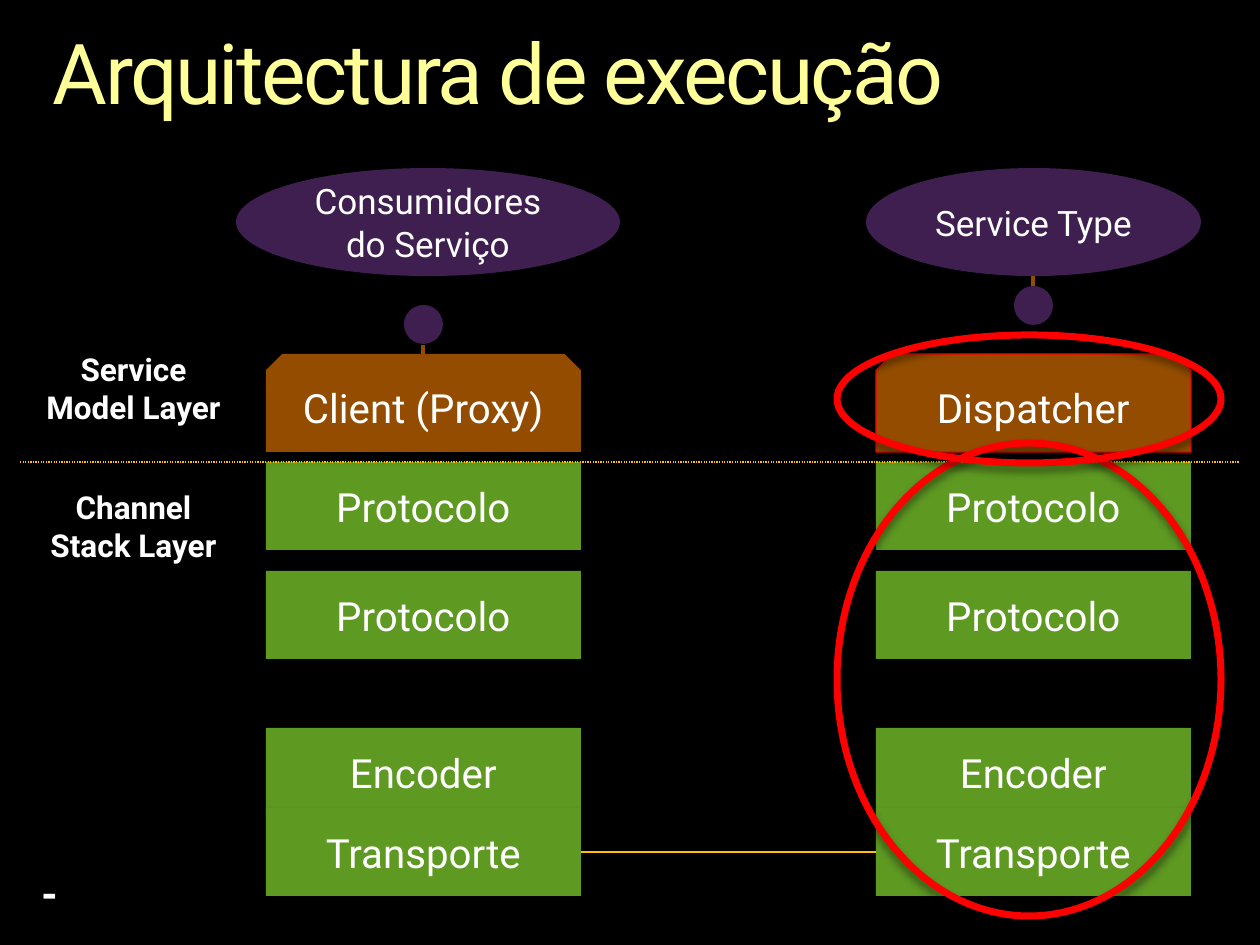
import pptx
import pptx.util
import pptx.dml.color
import pptx.enum.dml
import pptx.enum.shapes
import pptx.enum.text
import pptx.oxml
import pptx.oxml.ns

PX = 914400 / 126
FONT = "Roboto"
COLORS = {
    "background": "000000", "title": "FFFF99", "text": "FFFFFF",
    "channel": "5E9922", "service": "944D00", "endpoint": "3F1F50",
    "highlight": "FF0000", "link": "FFC000",
}
SHAPES = pptx.enum.shapes.MSO_SHAPE
ALIGN = pptx.enum.text.PP_ALIGN
ANCHOR = pptx.enum.text.MSO_ANCHOR

# Content
TITLE = "Arquitectura de execução"
STACKS = [(266, "Client (Proxy)"), (876, "Dispatcher")]
STACK_W = 315
SERVICE_Y, SERVICE_H = 354, 98
CHANNEL_H = 88
CHANNELS = [("Protocolo", 462), ("Protocolo", 571), ("Encoder", 728), ("Transporte", 808)]
ENDPOINTS = [("Consumidores do Serviço", (236, 168, 384, 108)),
             ("Service Type", (866, 168, 335, 108))]
KNOBS = [(404, 305), (1014, 286)]
KNOB_SIZE = 39
LAYERS = [("Service Model Layer", 344), ("Channel Stack Layer", 482)]
LINES = [  # start, end, colour, width in points, dotted
    ((423, 345), (423, 354), "service", 2, False),
    ((1033, 286), (1033, 276), "service", 2, False),
    ((20, 462), (1240, 462), "link", 0.75, True),
    ((581, 852), (876, 852), "link", 0.75, False),
]
HIGHLIGHTS = [(837, 443, 384, 473), (837, 335, 384, 128)]


def px(*values):
    return [pptx.util.Emu(round(v * PX)) for v in values]


def rgb(name):
    return pptx.dml.color.RGBColor.from_string(COLORS[name])


def write(sp, text, size, color="text", bold=False, align=ALIGN.CENTER,
          anchor=ANCHOR.MIDDLE, wrap=True, margin=None, line_spacing=None, spacing=None):
    tf = sp.text_frame
    tf.word_wrap = wrap
    tf.vertical_anchor = anchor
    if margin is not None:
        tf.margin_left = tf.margin_right = tf.margin_top = tf.margin_bottom = margin
    p = tf.paragraphs[0]
    p.alignment = align
    if line_spacing:
        p.line_spacing = line_spacing
    r = p.add_run()
    r.text = text
    r.font.name, r.font.size, r.font.bold = FONT, pptx.util.Pt(size), bold
    r.font.color.rgb = rgb(color)
    if spacing is not None:
        r._r.get_or_add_rPr().set("spc", str(round(spacing * 100)))


def add_effects(sp, effects=""):
    sp._element.spPr.append(pptx.oxml.parse_xml(
        f'<a:effectLst {pptx.oxml.ns.nsdecls("a")}>{effects}</a:effectLst>'))


def add_shadow(sp):
    """Give a soft shadow that falls straight down."""
    add_effects(sp, '<a:outerShdw blurRad="63500" dist="38100" dir="5400000" rotWithShape="0">'
                    '<a:srgbClr val="000000"><a:alpha val="45000"/></a:srgbClr></a:outerShdw>')


def add_shape(slide, kind, box, fill=None, line=None, line_width=0.75):
    sp = slide.shapes.add_shape(kind, *px(*box))
    if fill:
        sp.fill.solid()
        sp.fill.fore_color.rgb = rgb(fill)
    else:
        sp.fill.background()
    if line:
        sp.line.color.rgb = rgb(line)
        sp.line.width = pptx.util.Pt(line_width)
    else:
        sp.line.fill.background()
    add_shadow(sp)
    return sp


def add_line(slide, start, end, color, width, dotted):
    cx = slide.shapes.add_connector(
        pptx.enum.shapes.MSO_CONNECTOR.STRAIGHT, *px(*start, *end))
    cx.line.color.rgb = rgb(color)
    cx.line.width = pptx.util.Pt(width)
    if dotted:
        cx.line.dash_style = pptx.enum.dml.MSO_LINE.ROUND_DOT
    add_effects(cx)


def add_text(slide, box, text, size, **fmt):
    write(slide.shapes.add_textbox(*px(*box)), text, size, anchor=ANCHOR.TOP, **fmt)


def main():
    prs = pptx.Presentation()
    prs.slide_width, prs.slide_height = px(1260, 945)
    s = prs.slides.add_slide(prs.slide_layouts[6])
    s.background.fill.solid()
    s.background.fill.fore_color.rgb = rgb("background")

    add_text(s, (53, 32, 1155, 92), TITLE, 48, color="title", align=ALIGN.LEFT,
             margin=0, line_spacing=0.9, spacing=-1.5)

    for x, service in STACKS:
        for name, y in CHANNELS:
            sp = add_shape(s, SHAPES.RECTANGLE, (x, y, STACK_W, CHANNEL_H), "channel")
            write(sp, name, 23)
        sp = add_shape(s, SHAPES.SNIP_2_SAME_RECTANGLE, (x, SERVICE_Y, STACK_W, SERVICE_H),
                       "service", line="highlight" if service == "Dispatcher" else None)
        write(sp, service, 23)

    for x, y in KNOBS:
        add_shape(s, SHAPES.OVAL, (x, y, KNOB_SIZE, KNOB_SIZE), "endpoint")
    for name, box in ENDPOINTS:
        write(add_shape(s, SHAPES.OVAL, box, "endpoint"), name, 20)
    for line in LINES:
        add_line(s, *line)
    for name, y in LAYERS:
        add_text(s, (20, y, 227, 89), name, 18, bold=True)
    for box in HIGHLIGHTS:
        add_shape(s, SHAPES.OVAL, box, line="highlight", line_width=4)
    add_text(s, (29, 861, 39, 63), "-", 24, bold=True, align=ALIGN.LEFT, wrap=False)

    prs.save("out.pptx")


if __name__ == "__main__":
    main()
